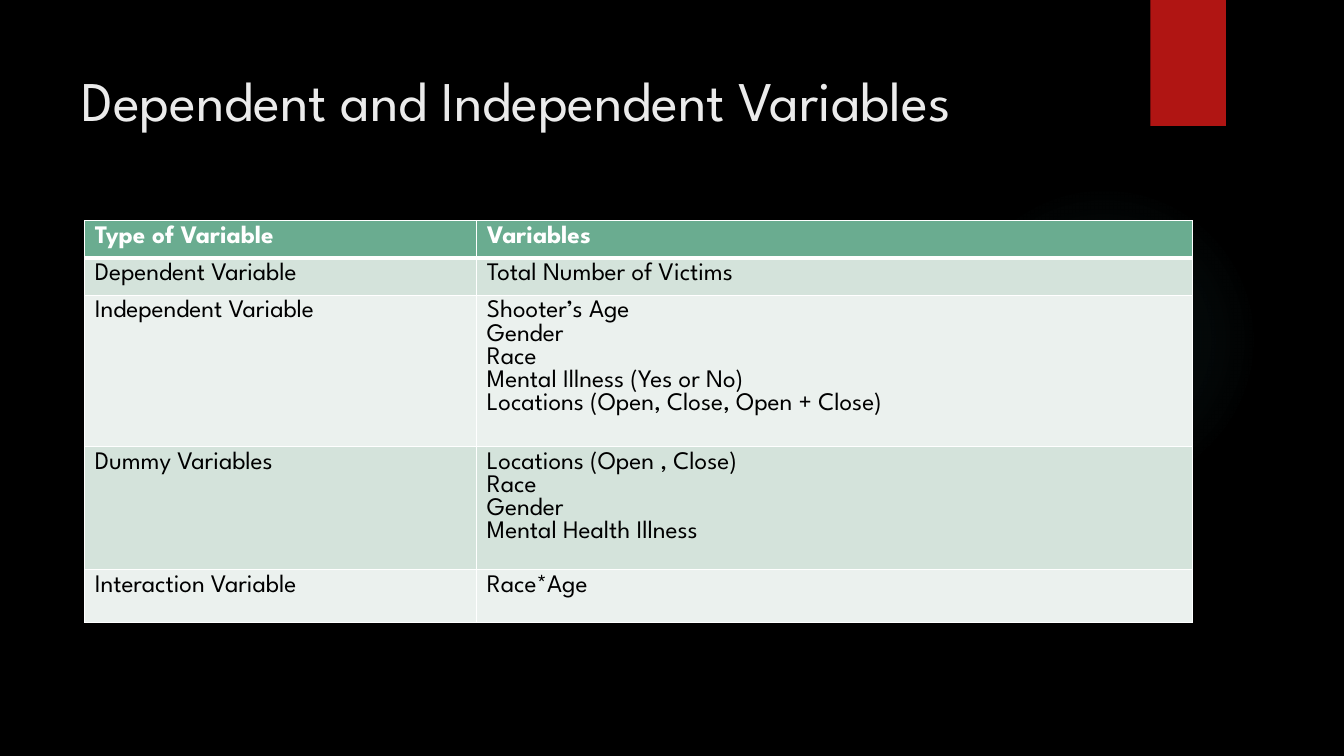
from lxml.etree import SubElement
from pptx import Presentation
from pptx.dml.color import RGBColor
from pptx.enum.shapes import MSO_SHAPE
from pptx.enum.text import MSO_ANCHOR, PP_ALIGN
from pptx.oxml.ns import qn
from pptx.util import Inches, Pt

BLACK = RGBColor(0x00, 0x00, 0x00)
WHITE = RGBColor(0xFF, 0xFF, 0xFF)
PALE = RGBColor(0xEB, 0xEB, 0xEB)
RED = RGBColor(0xB0, 0x15, 0x13)
TEAL = RGBColor(0x50, 0xB9, 0xC1)
GREEN = RGBColor(0x6A, 0xAC, 0x90)
MINT = RGBColor(0xD4, 0xE3, 0xDB)
MIST = RGBColor(0xEB, 0xF1, 0xEE)
FONT = "League Spartan"

COLS = [3.89, 7.1]
ROWS = [0.37, 0.37, 1.5, 1.22, 0.53]
DATA = [
    ("Type of Variable", ["Variables"]),
    ("Dependent Variable", ["Total Number of Victims"]),
    ("Independent Variable", ["Shooter’s Age", "Gender", "Race", "Mental Illness (Yes or No)",
                              "Locations (Open, Close, Open + Close)"]),
    ("Dummy Variables", ["Locations (Open , Close)", "Race", "Gender", "Mental Health Illness"]),
    ("Interaction Variable", ["Race*Age"]),
]


def style(frame, size, color, bold=False):
    """Format every run of a text frame."""
    for para in frame.paragraphs:
        for run in para.runs:
            font = run.font
            font.name, font.size, font.bold = FONT, Pt(size), bold
            font.color.rgb = color


def add_plain(slide, kind, box, color):
    """Add a flat shape without line or shadow."""
    shape = slide.shapes.add_shape(kind, *map(Inches, box))
    shape.shadow.inherit = False
    shape.fill.solid()
    shape.fill.fore_color.rgb = color
    shape.line.fill.background()
    return shape


def add_glow(slide, box):
    """Add a faint round glow that fades outward."""
    glow = add_plain(slide, MSO_SHAPE.OVAL, box, TEAL)
    solid = glow.fill._xPr.find(qn("a:solidFill"))
    grad = solid.makeelement(qn("a:gradFill"))
    stops = SubElement(grad, qn("a:gsLst"))
    for place, alpha in ((0, 7), (36, 6), (69, 0)):
        stop = SubElement(stops, qn("a:gs"), pos=str(place * 1000))
        tint = SubElement(stop, qn("a:srgbClr"), val=str(TEAL))
        SubElement(tint, qn("a:alpha"), val=str(alpha * 1000))
    way = SubElement(grad, qn("a:path"), path="circle")
    SubElement(way, qn("a:fillToRect"), {side: "50000" for side in "ltrb"})
    solid.getparent().replace(solid, grad)


def add_title(slide, box, text):
    """Place and format the title placeholder."""
    title = slide.shapes.title
    title.left, title.top, title.width, title.height = map(Inches, box)
    frame = title.text_frame
    frame.text = text
    frame.vertical_anchor = MSO_ANCHOR.MIDDLE
    frame.paragraphs[0].alignment = PP_ALIGN.LEFT
    style(frame, 40, PALE)


def add_edges(cell, top, bottom):
    """Draw white borders around a cell, widths in points."""
    props = cell._tc.get_or_add_tcPr()
    sides = (("L", 1), ("R", 1), ("T", top), ("B", bottom))
    for spot, (side, width) in enumerate(sides):
        line = props.makeelement(qn(f"a:ln{side}"), w=str(Pt(width)))
        fill = SubElement(line, qn("a:solidFill"))
        SubElement(fill, qn("a:srgbClr"), val=str(WHITE))
        props.insert(spot, line)


def add_grid(slide, box):
    """Build the table of variables in its box."""
    table = slide.shapes.add_table(len(ROWS), len(COLS), *map(Inches, box)).table
    table.horz_banding = False
    for col, width in zip(table.columns, COLS):
        col.width = Inches(width)
    for i, (row, height, (kind, names)) in enumerate(zip(table.rows, ROWS, DATA)):
        row.height = Inches(height)
        head = i == 0
        for cell, text in zip(row.cells, (kind, "\n".join(names))):
            cell.text_frame.text = text
            style(cell.text_frame, 18, WHITE if head else BLACK, head)
            cell.fill.solid()
            cell.fill.fore_color.rgb = GREEN if head else MINT if i % 2 else MIST
            add_edges(cell, 3 if i == 1 else 1, 3 if head else 1)


def add_page(deck):
    """Compose the slide of variables."""
    slide = deck.slides.add_slide(deck.slide_layouts[5])
    back = slide.background.fill
    back.solid()
    back.fore_color.rgb = BLACK
    add_glow(slide, (9.41, 1.83, 3.08, 3.08))
    add_plain(slide, MSO_SHAPE.RECTANGLE, (11.41, 0, 0.75, 1.25), RED)
    add_title(slide, (0.71, 0.5, 11.13, 0.97), "Dependent and Independent Variables")
    add_grid(slide, (0.84, 2.19, sum(COLS), sum(ROWS)))


def main():
    """Make and save the deck."""
    deck = Presentation()
    deck.slide_width, deck.slide_height = Inches(13.33), Inches(7.5)
    add_page(deck)
    deck.save("out.pptx")


if __name__ == "__main__":
    main()
